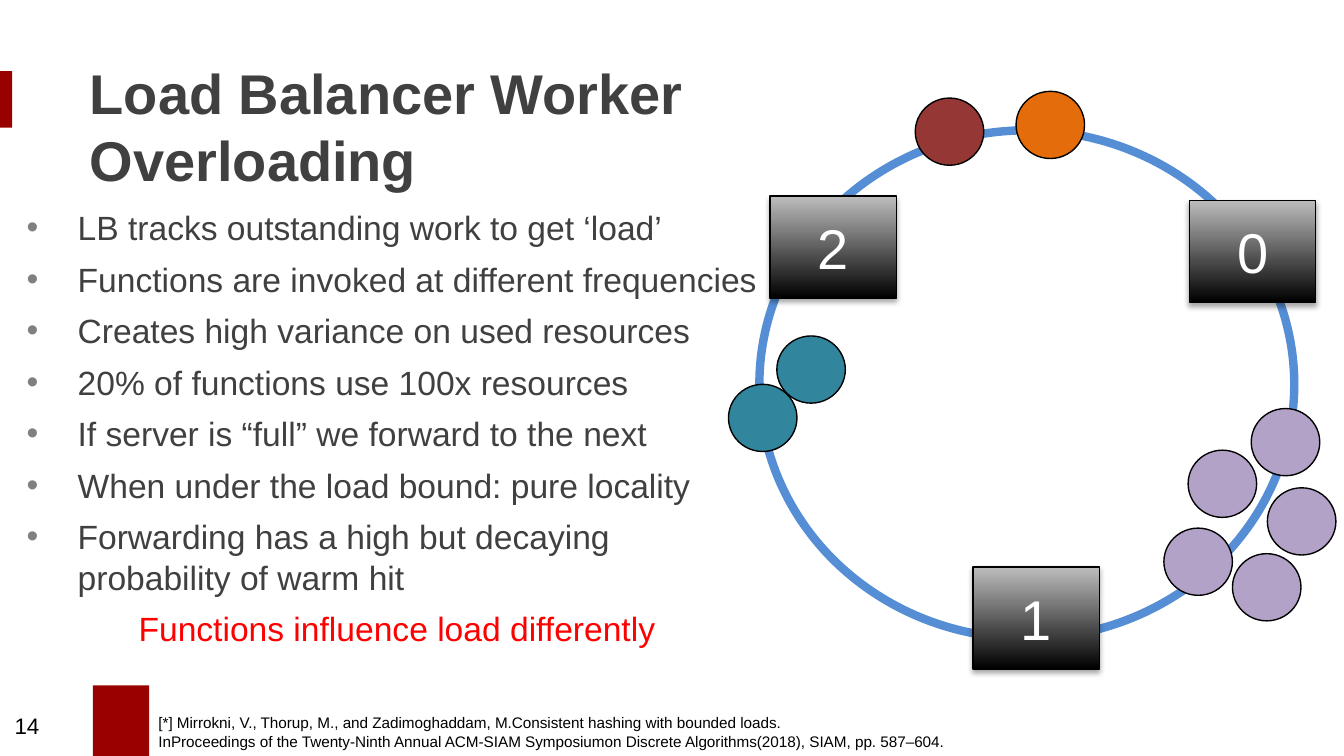
"""Builds a slide on load balancer worker overloading, with a hash ring of workers and functions."""
from lxml import etree
from pptx import Presentation
from pptx.dml.color import RGBColor
from pptx.enum.shapes import MSO_SHAPE
from pptx.enum.text import MSO_ANCHOR, PP_ALIGN
from pptx.oxml.ns import qn
from pptx.util import Inches, Pt

RECTANGLE, OVAL = MSO_SHAPE.RECTANGLE, MSO_SHAPE.OVAL
TOP, MIDDLE = MSO_ANCHOR.TOP, MSO_ANCHOR.MIDDLE
LEFT, CENTER = PP_ALIGN.LEFT, PP_ALIGN.CENTER

TITLE = "Load Balancer Worker Overloading"
BULLETS = [
    "LB tracks outstanding work to get ‘load’",
    "Functions are invoked at different frequencies",
    "Creates high variance on used resources",
    "20% of functions use 100x resources",
    "If server is “full” we forward to the next",
    "When under the load bound: pure locality",
    "Forwarding has a high but decaying probability of warm hit",
]
TAKEAWAY = "Functions influence load differently"
PAGE_NUMBER = "14"
CITATION = [
    "[*] Mirrokni, V., Thorup, M., and Zadimoghaddam, M.Consistent hashing with bounded loads.",
    "InProceedings of the Twenty-Ninth Annual ACM-SIAM Symposiumon Discrete Algorithms(2018), "
    "SIAM, pp. 587–604.",
]
WORKERS = [("2", 57.3, 14.6), ("0", 88.5, 14.9), ("1", 72.4, 42.2)]
FUNCTIONS = {
    "orange": [(75.6, 6.8)],
    "maroon": [(68.1, 7.3)],
    "teal": [(54.2, 28.6), (57.8, 25)],
    "lilac": [(93.1, 30.4), (88.4, 33.5), (94.3, 36.3), (86.6, 39.3), (91.7, 41.2)],
}
ACCENTS = [(0, 5.3, 0.9, 4.2), (6.9, 51, 4.2, 5.25)]
RING_BOX = (56.5, 9.7, 39.8, 37.8)
WORKER_SIZE = (9.4, 7.6)
FUNCTION_SIZE = (5.1, 5)

SLIDE_WIDTH, SLIDE_HEIGHT = Inches(10), Inches(5.625)
CELL = SLIDE_WIDTH / 100
THEME = {
    "font": "Arial",
    "leading": 1.2,
    "colors": {
        "accent": "990000", "text": "404041", "bullet": "808080", "alert": "FF0000",
        "black": "000000", "white": "FFFFFF", "silver": "BDBDBD", "ring": "558ED5",
        "orange": "E46C0A", "maroon": "953735", "teal": "31859C", "lilac": "B3A2C7",
    },
    "sizes": {"title": 30, "body": 18, "page": 12, "citation": 8.2, "worker": 30},
}


def color(name):
    """Return the theme colour of that name."""
    return RGBColor.from_string(THEME["colors"][name])


def set_all(target, values):
    """Set every attribute in a dict of format values."""
    for name, value in values.items():
        setattr(target, name, value)


def grid(*cells):
    """Turn grid cells into slide lengths."""
    return [round(cell * CELL) for cell in cells]


def write(paragraph, text, role, ink="text", bold=False, **layout):
    """Fill and format one paragraph."""
    size = THEME["sizes"][role]
    paragraph.text = text
    set_all(paragraph, {"line_spacing": Pt(size * THEME["leading"]), **layout})
    set_all(paragraph.font, {"name": THEME["font"], "size": Pt(size), "bold": bold})
    paragraph.font.color.rgb = color(ink)


def add_bullet(paragraph):
    """Give a paragraph a hanging grey bullet."""
    properties = paragraph._p.get_or_add_pPr()
    properties.set("marL", str(Inches(0.38)))
    properties.set("indent", str(-Inches(0.38)))
    tint = etree.SubElement(properties, qn("a:buClr"))
    etree.SubElement(tint, qn("a:srgbClr"), val=THEME["colors"]["bullet"])
    etree.SubElement(properties, qn("a:buFont"), typeface=THEME["font"])
    etree.SubElement(properties, qn("a:buChar"), char="•")


def add_text(slide, box, lines, role, anchor=TOP, wrap=True, **style):
    """Add a text box and return its frame."""
    frame = slide.shapes.add_textbox(*grid(*box)).text_frame
    set_all(frame, {"word_wrap": wrap, "vertical_anchor": anchor})
    for index, line in enumerate(lines):
        paragraph = frame.add_paragraph() if index else frame.paragraphs[0]
        write(paragraph, line, role, **style)
    return frame


def add_figure(slide, kind, box, fill=None, line=None, weight=0.75):
    """Add a flat preset shape."""
    shape = slide.shapes.add_shape(kind, *grid(*box))
    shape.shadow.inherit = False
    if fill:
        shape.fill.solid()
        shape.fill.fore_color.rgb = color(fill)
    else:
        shape.fill.background()
    if line:
        shape.line.color.rgb = color(line)
        shape.line.width = Pt(weight)
    else:
        shape.line.fill.background()
    return shape


def add_worker(slide, label, left, top):
    """Add a shaded worker box with its number."""
    shape = add_figure(slide, RECTANGLE, (left, top, *WORKER_SIZE), line="black")
    shape.fill.gradient()
    shape.fill.gradient_angle = 90
    for stop, name in zip(shape.fill.gradient_stops, ("black", "silver")):
        stop.color.rgb = color(name)
    effects = shape._element.spPr.find(qn("a:effectLst"))
    shadow = etree.SubElement(effects, qn("a:outerShdw"), blurRad=str(Pt(3.1)),
                              dist=str(Pt(1.8)), dir="5400000", rotWithShape="0")
    tint = etree.SubElement(shadow, qn("a:srgbClr"), val=THEME["colors"]["black"])
    etree.SubElement(tint, qn("a:alpha"), val="35000")
    shape.text_frame.vertical_anchor = MIDDLE
    write(shape.text_frame.paragraphs[0], label, "worker", "white",
          alignment=CENTER, line_spacing=1.0)


def add_body(slide):
    """Add the bullets and the takeaway below them."""
    frame = add_text(slide, (1, 14.8, 57.3, 38.7), [], "body")
    set_all(frame, {"margin_top": Inches(0.06), "margin_right": Inches(0.12)})
    for index, text in enumerate(BULLETS):
        paragraph = frame.add_paragraph() if index else frame.paragraphs[0]
        add_bullet(paragraph)
        write(paragraph, text, "body", alignment=LEFT, space_after=Pt(6))
    write(frame.add_paragraph(), TAKEAWAY, "body", "alert",
          alignment=CENTER, space_after=Pt(6))


def main():
    """Build and save the presentation."""
    presentation = Presentation()
    set_all(presentation, {"slide_width": SLIDE_WIDTH, "slide_height": SLIDE_HEIGHT})
    slide = presentation.slides.add_slide(presentation.slide_layouts[6])
    for box in ACCENTS:
        add_figure(slide, RECTANGLE, box, "accent")
    add_text(slide, (5.7, 5.1, 49.9, 8.5), [TITLE], "title", MIDDLE, bold=True)
    add_text(slide, (0.1, 52.5, 5.8, 3), [PAGE_NUMBER], "page", MIDDLE, ink="black")
    add_body(slide)
    add_figure(slide, OVAL, RING_BOX, line="ring", weight=4.5)
    for worker in WORKERS:
        add_worker(slide, *worker)
    for name, places in FUNCTIONS.items():
        for place in places:
            add_figure(slide, OVAL, (*place, *FUNCTION_SIZE), name, "black")
    add_text(slide, (10.8, 52.6, 62.1, 3.8), CITATION, "citation", wrap=False, ink="black")
    presentation.save("out.pptx")


if __name__ == "__main__":
    main()
